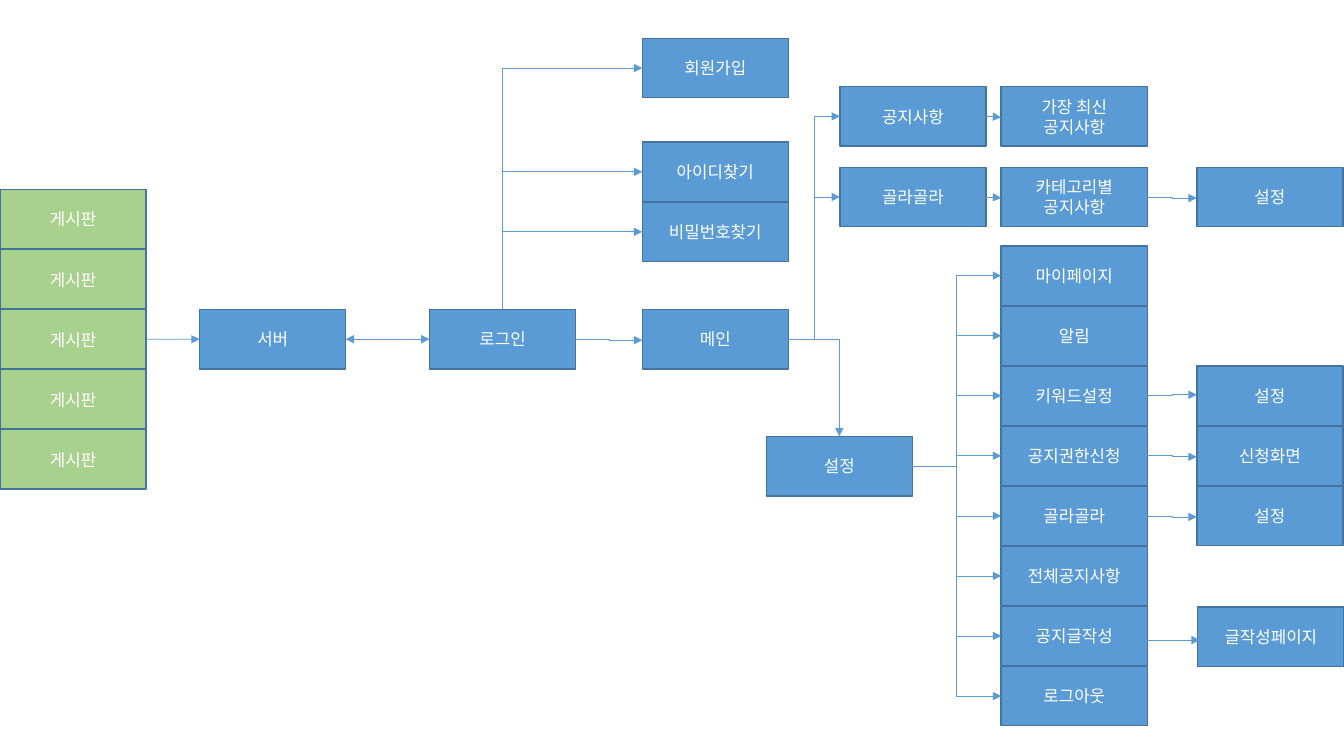
from pptx import Presentation, util as u
from pptx.dml.color import RGBColor
from pptx.enum import shapes, text
from pptx.oxml import ns, xmlchemy

BLUE = RGBColor(0x5B, 0x9B, 0xD5)
GREEN = RGBColor(0xA9, 0xD1, 0x8E)
EDGE = RGBColor(0x43, 0x73, 0x9E)
WHITE = RGBColor(0xFF, 0xFF, 0xFF)
FONT = "Noto Sans CJK KR"
WIDTH, HEIGHT = 1.45, 0.59
STEP = 4.17 / 7  # row pitch: eight menu rows from 2.44 to 6.61
JOG = u.Inches(0.01)
LEFT, RIGHT = 1, 3  # connection sites
STRAIGHT, ELBOW = shapes.MSO_CONNECTOR.STRAIGHT, shapes.MSO_CONNECTOR.ELBOW

deck = Presentation()
deck.slide_width, deck.slide_height = u.Inches(13.33), u.Inches(7.5)
page = deck.slides.add_slide(deck.slide_layouts[6])


def add_box(label, left, top, fill=BLUE, size=12, color=WHITE):
    box = page.shapes.add_shape(shapes.MSO_SHAPE.RECTANGLE, u.Inches(left),
                                u.Inches(top), u.Inches(WIDTH), u.Inches(HEIGHT))
    box.shadow.inherit = False
    box.fill.solid()
    box.fill.fore_color.rgb = fill
    box.line.color.rgb = EDGE
    box.line.width = u.Pt(1)
    frame = box.text_frame
    frame.word_wrap = True
    frame.vertical_anchor = text.MSO_ANCHOR.MIDDLE
    para = frame.paragraphs[0]
    para.alignment = text.PP_ALIGN.CENTER
    span = para.add_run()
    span.text = label
    span.font.size, span.font.name = u.Pt(size), FONT
    span.font.color.rgb = color
    properties = span.font._element
    xmlchemy.OxmlElement("a:ea")
    east_asian = properties.makeelement(ns.qn("a:ea"), {"typeface": FONT})
    properties.append(east_asian)
    return box


def add_arrow(start, end, kind=ELBOW, bend=None, heads=("tailEnd",)):
    """Draw an arrow between two points; bend is the elbow's share of the width."""
    arrow = page.shapes.add_connector(kind, *start, *end)
    arrow.line.color.rgb = BLUE
    arrow.line.width = u.Pt(0.5)
    line = arrow.line._get_or_add_ln()
    for head in heads:
        line.append(line.makeelement(ns.qn("a:" + head), {"type": "triangle"}))
    properties = arrow._element.spPr
    properties.append(xmlchemy.OxmlElement("a:effectLst"))
    if bend is not None:
        guides = properties.find(ns.qn("a:prstGeom")).get_or_add_avLst()
        guides.append(guides.makeelement(
            ns.qn("a:gd"), {"name": "adj1", "fmla": f"val {round(bend * 100000)}"}))
    return arrow


# Boxes: each stack is a left edge, a top edge, its labels from top to bottom
stacks = {
    "boards": (0, 1.88, ["게시판"] * 5),
    "server": (1.98, 3.07, ["서버"]),
    "login": (4.26, 3.07, ["로그인"]),
    "join": (6.37, 0.38, ["회원가입"]),
    "find": (6.37, 1.41, ["아이디찾기", "비밀번호찾기"]),
    "main": (6.37, 3.07, ["메인"]),
    "notice": (8.33, 0.86, ["공지사항"]),
    "pick": (8.33, 1.66, ["골라골라"]),
    "settings": (7.6, 4.33, ["설정"]),
    "latest": (9.93, 0.86, ["가장 최신 공지사항"]),
    "category": (9.93, 1.66, ["카테고리별 공지사항"]),
    "menu": (9.93, 2.44, ["마이페이지", "알림", "키워드설정", "공지권한신청",
                          "골라골라", "전체공지사항", "공지글작성", "로그아웃"]),
    "category_setup": (11.87, 1.66, ["설정"]),
    "menu_setup": (11.87, 3.63, ["설정", "신청화면", "설정"]),
    "editor": (11.88, 6.02, ["글작성페이지"]),
}
boxes = {name: [add_box(label, left, top + row * STEP,
                        fill=GREEN if name == "boards" else BLUE)
                for row, label in enumerate(labels)]
         for name, (left, top, labels) in stacks.items()}
entry = {name: [(box.left, box.top + box.height // 2) for box in stack]
         for name, stack in boxes.items()}
leave = {name: [(box.left + box.width, box.top + box.height // 2) for box in stack]
         for name, stack in boxes.items()}

# Straight arrows along the middle row
for source, target, heads in [
        (boxes["boards"][2], boxes["server"][0], ("tailEnd",)),
        (boxes["server"][0], boxes["login"][0], ("headEnd", "tailEnd"))]:
    arrow = add_arrow((source.left, source.top), (target.left, target.top),
                      kind=STRAIGHT, heads=heads)
    arrow.begin_connect(source, RIGHT)
    arrow.end_connect(target, LEFT)

# Up from the login box, then right
login = boxes["login"][0]
for end in entry["join"] + entry["find"]:
    add_arrow((login.left + login.width // 2, login.top), end, bend=0)

# Branches with the bend half way
for end in entry["notice"] + entry["pick"]:
    add_arrow(leave["main"][0], end)
for end in entry["menu"]:
    add_arrow(leave["settings"][0], end)

# Right from the main box, then down to the settings box
settings = boxes["settings"][0]
corner = add_arrow(leave["main"][0],
                   (settings.left + settings.width // 2, settings.top))
corner._element.spPr.find(ns.qn("a:prstGeom")).set("prst", "bentConnector2")

# Short arrows to the next column, with a slight step
for start, end, jog in [
        (leave["login"][0], entry["main"][0], JOG),
        (leave["notice"][0], entry["latest"][0], JOG),
        (leave["pick"][0], entry["category"][0], JOG),
        (leave["category"][0], entry["category_setup"][0], JOG),
        (leave["menu"][2], entry["menu_setup"][0], -JOG),
        (leave["menu"][3], entry["menu_setup"][1], JOG),
        (leave["menu"][4], entry["menu_setup"][2], JOG)]:
    add_arrow(start, (end[0], start[1] + jog))

# Arrow to the editor page, just below the middle
level = u.Inches(6.35)
add_arrow((leave["menu"][6][0], level), (u.Inches(11.9), level), kind=STRAIGHT)

deck.save("out.pptx")
